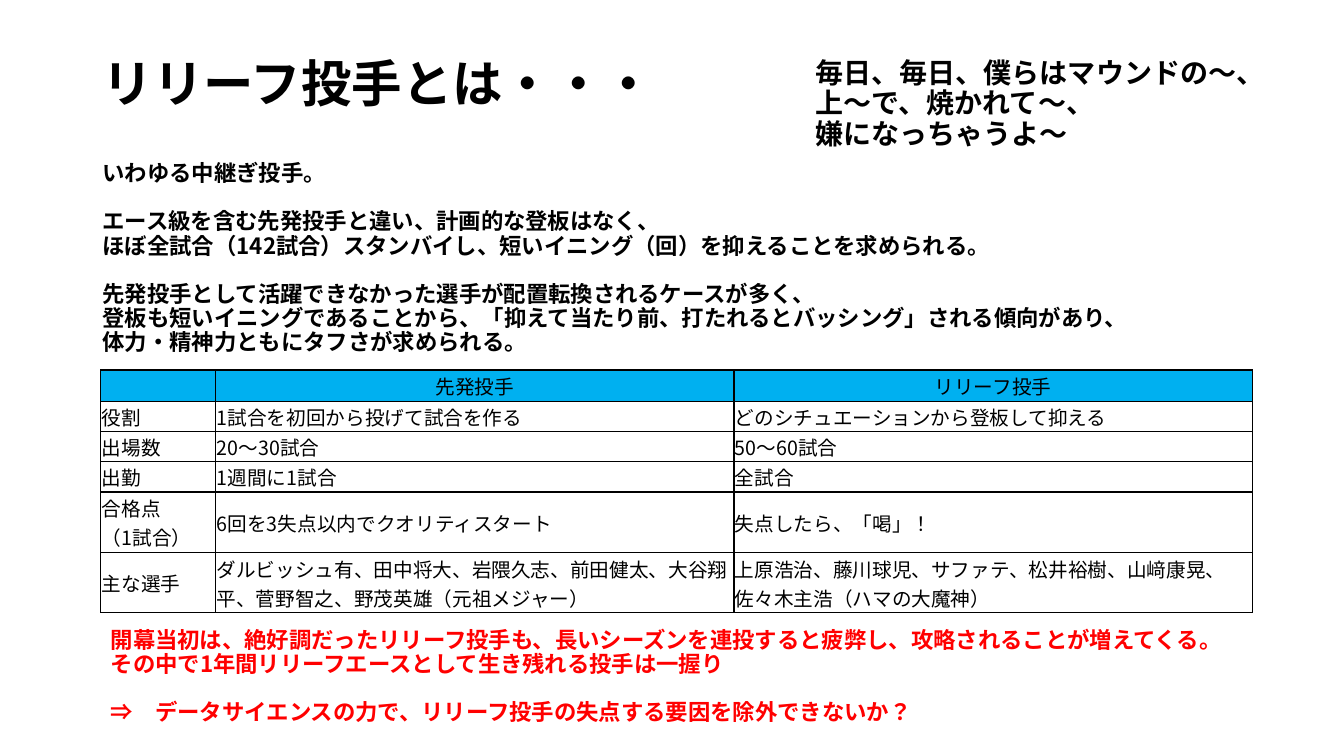
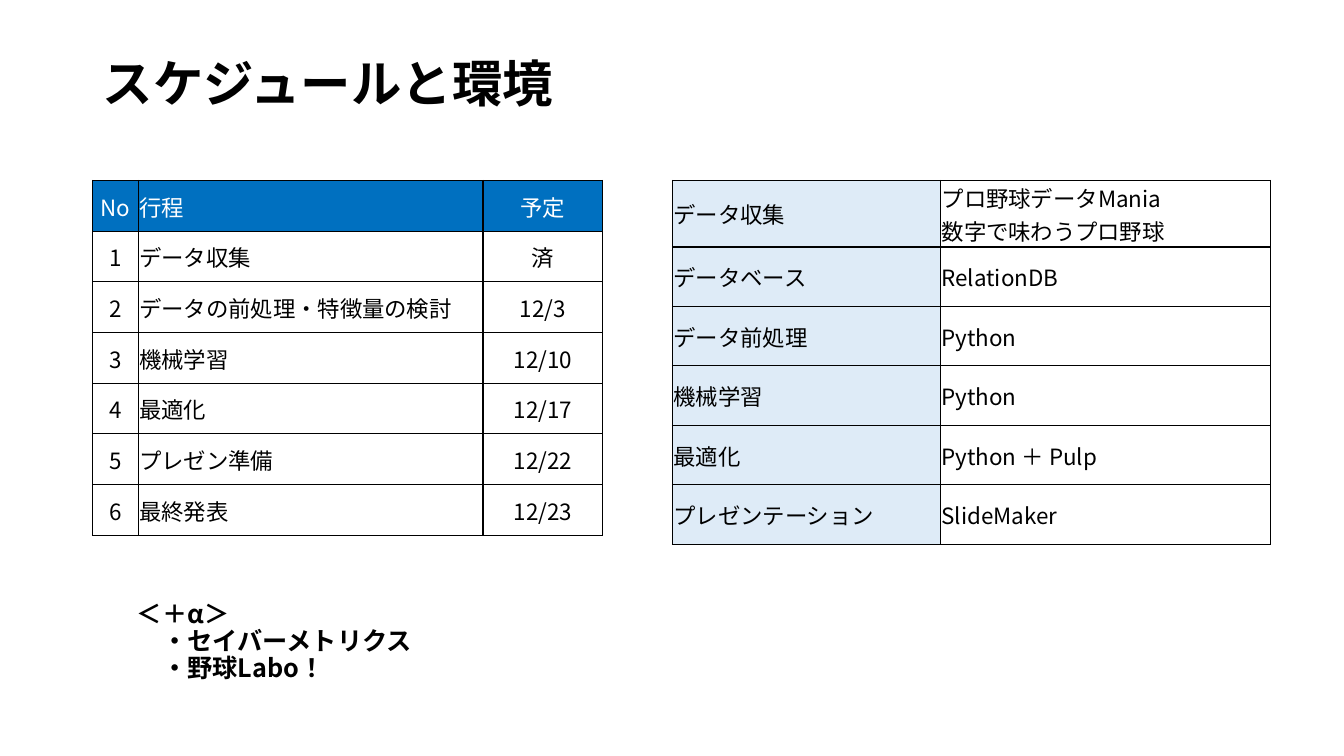
from lxml import etree
from pptx import Presentation
from pptx.dml.color import RGBColor
from pptx.enum.lang import MSO_LANGUAGE_ID
from pptx.enum.text import MSO_ANCHOR, PP_ALIGN
from pptx.oxml.ns import qn
from pptx.util import Inches, Pt

LEFT, CENTER = PP_ALIGN.LEFT, PP_ALIGN.CENTER
TOP, MIDDLE = MSO_ANCHOR.TOP, MSO_ANCHOR.MIDDLE
JAPANESE = MSO_LANGUAGE_ID.JAPANESE
FONT = "Noto Sans CJK JP"
COLORS = {
    "black": "000000",
    "white": "FFFFFF",
    "red": "FF0000",
    "sky": "00B0F0",
    "blue": "0070C0",
    "pale": "DEEBF7",
}


def write(tf, text, size=16, color="black", bold=False, font=FONT,
          align=LEFT, spacing=None, gap=17.3):
    """Fill a text frame: a line per paragraph, with a gap where a line is empty."""
    first = True
    for block_no, block in enumerate(text.split("\n\n")):
        for line_no, line in enumerate(block.split("\n")):
            p = tf.paragraphs[0] if first else tf.add_paragraph()
            first = False
            p.alignment = align
            if spacing:
                p.line_spacing = spacing
            if block_no and not line_no:
                p.space_before = Pt(gap)
            r = p.add_run()
            r.text = line
            r.font.size = Pt(size)
            r.font.bold = bold
            r.font.name = font
            r.font.language_id = JAPANESE
            r.font.color.rgb = RGBColor.from_string(COLORS[color])
            ea = etree.SubElement(r.font._element, qn("a:ea"))
            ea.set("typeface", FONT)


def add_grid(s, left, top, widths, heights, rows, style):
    """Add a bordered table; style(row, col) gives a fill name or None and text format."""
    table = s.shapes.add_table(
        len(rows), len(widths), Inches(left), Inches(top),
        Inches(sum(widths)), Inches(sum(heights))).table
    table.first_row = table.horz_banding = False
    for column, width in zip(table.columns, widths):
        column.width = Inches(width)
    for i, row in enumerate(rows):
        table.rows[i].height = Inches(heights[i])
        for j, text in enumerate(row):
            cell = table.cell(i, j)
            cell.margin_left = cell.margin_right = cell.margin_top = Inches(0.01)
            cell.margin_bottom = 0
            cell.vertical_anchor = MIDDLE
            fill, text_format = style(i, j)
            tc_pr = cell._tc.get_or_add_tcPr()
            for side in ("lnL", "lnR", "lnT", "lnB"):
                ln = etree.SubElement(tc_pr, qn(f"a:{side}"), w=str(Pt(1)))
                solid = etree.SubElement(ln, qn("a:solidFill"))
                etree.SubElement(solid, qn("a:srgbClr"), val=COLORS["black"])
            if fill:
                cell.fill.solid()
                cell.fill.fore_color.rgb = RGBColor.from_string(COLORS[fill])
            else:
                cell.fill.background()
            write(cell.text_frame, text, **text_format)


prs = Presentation()
prs.slide_width, prs.slide_height = Inches(13.33), Inches(7.5)

# Titles and free text: left, top, width, height, text, size, colour
slides = [
    ("リリーフ投手とは・・・", [
        (0.92, 1.56, 11.5, 2.39,
         "いわゆる中継ぎ投手。\n\n"
         "エース級を含む先発投手と違い、計画的な登板はなく、\n"
         "ほぼ全試合（142試合）スタンバイし、短いイニング（回）を抑えることを求められる。\n\n"
         "先発投手として活躍できなかった選手が配置転換されるケースが多く、\n"
         "登板も短いイニングであることから、「抑えて当たり前、打たれるとバッシング」される傾向があり、\n"
         "体力・精神力ともにタフさが求められる。", 16, "black"),
        (7.99, 0.54, 5.35, 1.16,
         "毎日、毎日、僕らはマウンドの～、\n上～で、焼かれて～、\n嫌になっちゃうよ～", 20, "black"),
        (1, 6.19, 11.5, 1.16,
         "開幕当初は、絶好調だったリリーフ投手も、長いシーズンを連投すると疲弊し、攻略されることが増えてくる。\n"
         "その中で1年間リリーフエースとして生き残れる投手は一握り\n\n"
         "⇒　データサイエンスの力で、リリーフ投手の失点する要因を除外できないか？", 16, "red"),
    ]),
    ("スケジュールと環境", [
        (1.26, 5.92, 10.36, 1.18,
         "＜＋α＞\n　・セイバーメトリクス\n　・野球Labo！", 18, "black"),
    ]),
]
for title, texts in slides:
    s = prs.slides.add_slide(prs.slide_layouts[6])
    for left, top, width, height, text, size, color in [
            (0.92, 0.4, 11.5, 0.91, title, 36, "black"), *texts]:
        tf = s.shapes.add_textbox(
            Inches(left), Inches(top), Inches(width), Inches(height)).text_frame
        tf.word_wrap = True
        tf.vertical_anchor = MIDDLE if text == title else TOP
        write(tf, text, size=size, color=color, bold=True, spacing=0.9)

relief_slide, schedule_slide = prs.slides

# Starters against relievers
add_grid(
    relief_slide, 1, 3.67, [1.14, 5.14, 5.14], [0.3] * 4 + [0.6] * 2,
    [
        ("", "先発投手", "リリーフ投手"),
        ("役割", "1試合を初回から投げて試合を作る", "どのシチュエーションから登板して抑える"),
        ("出場数", "20～30試合", "50～60試合"),
        ("出勤", "1週間に1試合", "全試合"),
        ("合格点\n（1試合）", "6回を3失点以内でクオリティスタート", "失点したら、「喝」！"),
        ("主な選手",
         "ダルビッシュ有、田中将大、岩隈久志、前田健太、大谷翔平、菅野智之、野茂英雄（元祖メジャー）",
         "上原浩治、藤川球児、サファテ、松井裕樹、山﨑康晃、佐々木主浩（ハマの大魔神）"),
    ],
    lambda i, j: (None if i else "sky",
                  {"size": 14, "align": LEFT if i else CENTER}))

# Tools: the first row is taller, to hold two lines
add_grid(
    schedule_slide, 6.67, 1.79, [2.66, 3.27], [0.66] + [0.59] * 5,
    [
        ("データ収集", "プロ野球データMania\n数字で味わうプロ野球"),
        ("データベース", "RelationDB"),
        ("データ前処理", "Python"),
        ("機械学習", "Python"),
        ("最適化", "Python ＋ Pulp"),
        ("プレゼンテーション", "SlideMaker"),
    ],
    lambda i, j: (None if j else "pale", {"font": FONT if j else "Arial"}))

# Schedule
steps = [
    ("データ収集", "済"),
    ("データの前処理・特徴量の検討", "12/3"),
    ("機械学習", "12/10"),
    ("最適化", "12/17"),
    ("プレゼン準備", "12/22"),
    ("最終発表", "12/23"),
]
add_grid(
    schedule_slide, 0.92, 1.79, [0.45, 3.42, 1.19], [3.52 / 7] * 7,
    [("No", "行程", "予定"),
     *((str(n), step, date) for n, (step, date) in enumerate(steps, 1))],
    lambda i, j: (None if i else "blue",
                  {"color": "black" if i else "white",
                   "align": LEFT if j == 1 else CENTER}))

prs.save("out.pptx")
